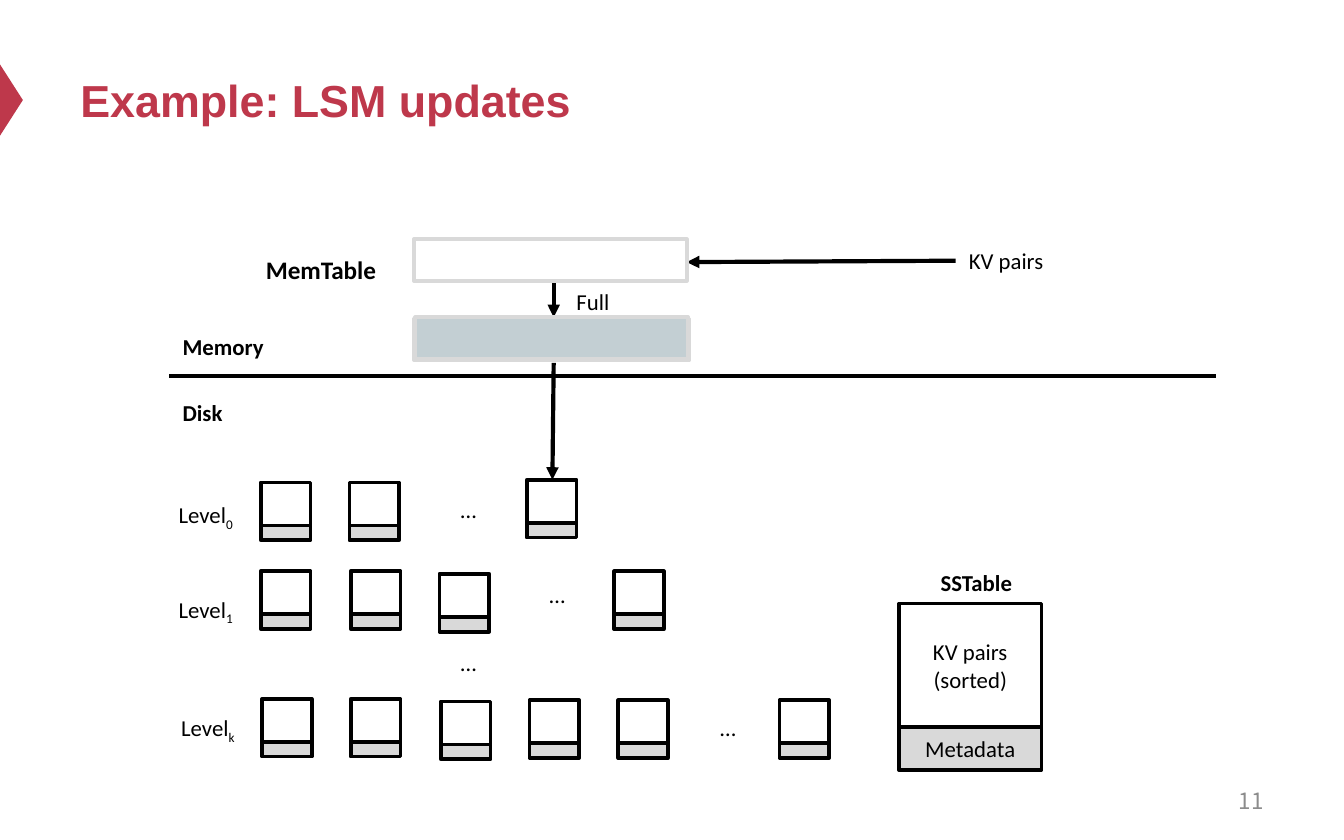
"""Build the slide that explains how an LSM tree handles updates."""

from dataclasses import dataclass
from typing import Optional

from lxml.etree import SubElement
from pptx import Presentation
from pptx.dml.color import RGBColor
from pptx.enum.shapes import MSO_CONNECTOR, MSO_SHAPE
from pptx.enum.text import MSO_ANCHOR, PP_ALIGN
from pptx.oxml.ns import qn
from pptx.util import Inches, Pt

BLACK = RGBColor(0x00, 0x00, 0x00)
CRIMSON = RGBColor(0xBE, 0x38, 0x4B)
SILVER = RGBColor(0xD9, 0xD9, 0xD9)
MIST = RGBColor(0xC3, 0xCF, 0xD3)
GRAY = RGBColor(0x8C, 0x8C, 0x8C)

BODY_FORMAT = {"name": "Calibri", "size": Pt(12.2), "bold": False}
HEADING_FORMAT = BODY_FORMAT | {"bold": True}
MEMTABLE_FORMAT = HEADING_FORMAT | {"size": Pt(13.5)}
TITLE_FORMAT = {"name": "Arial", "size": Pt(24), "bold": True}
NUMBER_FORMAT = {"name": "Noto Sans CJK SC", "size": Pt(12), "bold": False}

CELL_WIDTH, ENTRIES_HEIGHT, METADATA_HEIGHT = 0.37, 0.32, 0.11


@dataclass(frozen=True)
class Box:
    left: float
    top: float
    width: float
    height: float

    def lengths(self) -> list:
        return [Inches(v) for v in (self.left, self.top, self.width, self.height)]


@dataclass(frozen=True)
class Label:
    text: str
    box: Box
    format: dict
    subscript: str = ""
    color: RGBColor = BLACK
    align: PP_ALIGN = PP_ALIGN.LEFT
    anchor: MSO_ANCHOR = MSO_ANCHOR.TOP
    wrap: bool = False


@dataclass(frozen=True)
class Block:
    box: Box
    fill: Optional[RGBColor] = None
    line: Optional[RGBColor] = BLACK
    text: str = ""


@dataclass(frozen=True)
class Stroke:
    start: tuple[float, float]
    end: tuple[float, float]
    arrow: bool = True


@dataclass(frozen=True)
class Level:
    index: str
    label: Box
    dots: tuple[float, float]
    tables: tuple[tuple[float, float], ...]


LABELS = (
    Label("Example: LSM updates", Box(0.5, 0.25, 9, 0.98), TITLE_FORMAT,
          color=CRIMSON, anchor=MSO_ANCHOR.MIDDLE, wrap=True),
    Label("11", Box(7.17, 5.79, 2.33, 0.33), NUMBER_FORMAT, color=GRAY,
          align=PP_ALIGN.RIGHT, anchor=MSO_ANCHOR.MIDDLE, wrap=True),
    Label("MemTable", Box(1.88, 1.84, 1.18, 0.33), MEMTABLE_FORMAT, wrap=True),
    Label("KV pairs", Box(7.11, 1.79, 0.78, 0.31), BODY_FORMAT),
    Label("Full", Box(4.19, 2.09, 0.45, 0.31), BODY_FORMAT),
    Label("Memory", Box(1.26, 2.43, 0.82, 0.31), HEADING_FORMAT),
    Label("Disk", Box(1.26, 2.92, 0.51, 0.31), HEADING_FORMAT),
    Label("…", Box(3.33, 4.78, 0.37, 0.31), BODY_FORMAT),
    Label("SSTable", Box(6.9, 4.18, 0.77, 0.31), HEADING_FORMAT),
)

STROKES = (
    Stroke((1.26, 2.8), (9.05, 2.8), arrow=False),
    Stroke((7.11, 1.94), (5.11, 1.95)),
    Stroke((4.12, 2.7), (4.11, 3.57)),
    Stroke((4.12, 2.1), (4.12, 2.36)),
)

BLOCKS = (
    Block(Box(3.08, 2.37, 2.05, 0.31), line=SILVER),
    Block(Box(3.08, 1.78, 2.03, 0.31), line=SILVER),
    Block(Box(3.09, 2.36, 2.03, 0.31), MIST, SILVER),
    Block(Box(6.69, 4.49, 1.06, 0.92), text="KV pairs\n(sorted)"),
    Block(Box(6.69, 5.41, 1.06, 0.32), SILVER, text="Metadata"),
)

LEVELS = (
    Level("0", Box(1.23, 3.68, 0.65, 0.31), (3.33, 3.64),
          ((1.94, 3.59), (2.6, 3.59), (3.92, 3.57))),
    Level("1", Box(1.23, 4.38, 0.62, 0.31), (3.99, 4.27),
          ((1.94, 4.25), (2.61, 4.25), (3.27, 4.27), (4.57, 4.25))),
    Level("k", Box(1.25, 5.26, 0.64, 0.31), (5.26, 5.26),
          ((1.95, 5.2), (2.61, 5.2), (3.28, 5.22), (3.94, 5.21),
           (4.6, 5.21), (5.8, 5.21))),
)


def write(paragraph, text: str, format_values: dict, color: RGBColor):
    run = paragraph.add_run()
    run.text = text
    for attribute, value in format_values.items():
        setattr(run.font, attribute, value)
    run.font.color.rgb = color
    return run


def draw_label(slide, label: Label) -> None:
    frame = slide.shapes.add_textbox(*label.box.lengths()).text_frame
    frame.word_wrap = label.wrap
    frame.vertical_anchor = label.anchor
    paragraph = frame.paragraphs[0]
    paragraph.alignment = label.align
    write(paragraph, label.text, label.format, label.color)
    if label.subscript:
        subscript = write(paragraph, label.subscript, label.format, label.color)
        subscript.font._element.set("baseline", "-25000")


def draw_block(slide, block: Block, preset: MSO_SHAPE = MSO_SHAPE.RECTANGLE):
    shape = slide.shapes.add_shape(preset, *block.box.lengths())
    shape.shadow.inherit = False
    if block.fill is None:
        shape.fill.background()
    else:
        shape.fill.solid()
        shape.fill.fore_color.rgb = block.fill
    if block.line is None:
        shape.line.fill.background()
    else:
        shape.line.color.rgb = block.line
        shape.line.width = Pt(2)
    if block.text:
        frame = shape.text_frame
        frame.vertical_anchor = MSO_ANCHOR.MIDDLE
        for number, text in enumerate(block.text.split("\n")):
            paragraph = frame.add_paragraph() if number else frame.paragraphs[0]
            paragraph.alignment = PP_ALIGN.CENTER
            write(paragraph, text, BODY_FORMAT, BLACK)
    return shape


def draw_stroke(slide, stroke: Stroke) -> None:
    ends = [Inches(v) for v in stroke.start + stroke.end]
    connector = slide.shapes.add_connector(MSO_CONNECTOR.STRAIGHT, *ends)
    connector.line.color.rgb = BLACK
    connector.line.width = Pt(2.25)
    if stroke.arrow:
        SubElement(connector.line._get_or_add_ln(), qn("a:tailEnd"), type="triangle")
    SubElement(connector._element.spPr, qn("a:effectLst"))


def draw_level(slide, level: Level) -> None:
    draw_label(slide, Label("Level", level.label, BODY_FORMAT, level.index))
    draw_label(slide, Label("…", Box(*level.dots, 0.37, 0.31), BODY_FORMAT))
    for left, top in level.tables:
        draw_block(slide, Block(Box(left, top, CELL_WIDTH, ENTRIES_HEIGHT)))
        metadata = Box(left, top + ENTRIES_HEIGHT, CELL_WIDTH, METADATA_HEIGHT)
        draw_block(slide, Block(metadata, SILVER))


def main() -> None:
    presentation = Presentation()
    presentation.slide_width, presentation.slide_height = Inches(10), Inches(6.25)
    slide = presentation.slides.add_slide(presentation.slide_layouts[6])
    marker = Block(Box(-0.18, 0.66, 0.53, 0.17), CRIMSON, None)
    draw_block(slide, marker, MSO_SHAPE.ISOSCELES_TRIANGLE).rotation = 90
    for draw, parts in ((draw_level, LEVELS), (draw_stroke, STROKES),
                        (draw_block, BLOCKS), (draw_label, LABELS)):
        for part in parts:
            draw(slide, part)
    presentation.save("out.pptx")


if __name__ == "__main__":
    main()
